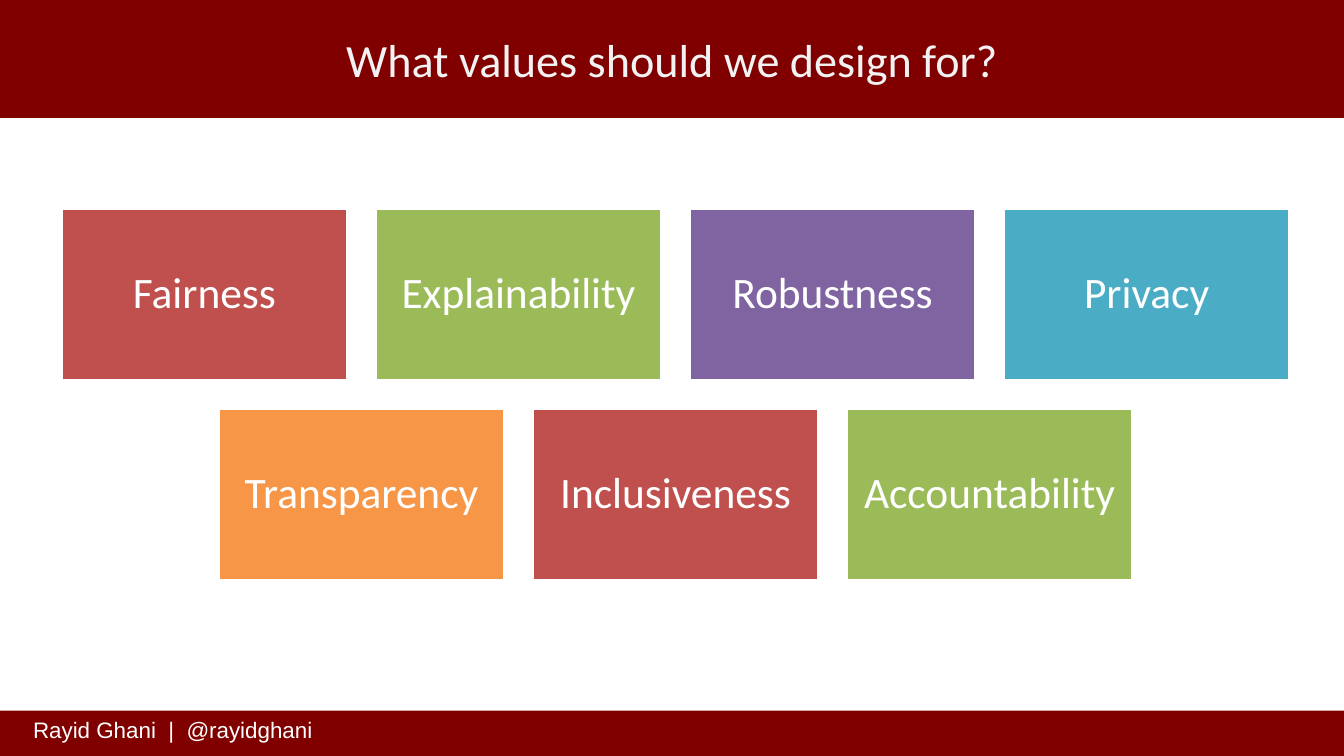
from pptx import Presentation
from pptx.dml.color import RGBColor
from pptx.enum.shapes import MSO_SHAPE
from pptx.enum.text import MSO_ANCHOR, PP_ALIGN
from pptx.util import Inches, Pt

MAROON = RGBColor(0x80, 0x00, 0x00)
WHITE = RGBColor(0xFF, 0xFF, 0xFF)
PALE_GREY = RGBColor(0xF2, 0xF2, 0xF2)
RED = RGBColor(0xC0, 0x50, 0x4D)
GREEN = RGBColor(0x9B, 0xBB, 0x59)
PURPLE = RGBColor(0x80, 0x64, 0xA2)
TEAL = RGBColor(0x4B, 0xAC, 0xC6)
ORANGE = RGBColor(0xF7, 0x96, 0x46)

SLIDE_WIDTH, SLIDE_HEIGHT = 13.33, 7.5
TITLE_HEIGHT, FOOTER_HEIGHT = 1.17, 0.45

# Tile grid: each row is centred on the same axis
TILE_WIDTH, TILE_HEIGHT, GAP = 2.83, 1.7, 0.285
GRID_CENTRE, GRID_TOP = 6.7, 2.07
VALUE_ROWS = [
    [("Fairness", RED), ("Explainability", GREEN), ("Robustness", PURPLE), ("Privacy", TEAL)],
    [("Transparency", ORANGE), ("Inclusiveness", RED), ("Accountability", GREEN)],
]

deck = Presentation()
deck.slide_width, deck.slide_height = Inches(SLIDE_WIDTH), Inches(SLIDE_HEIGHT)
page = deck.slides.add_slide(deck.slide_layouts[6])


def add_block(left, top, width, height, color):
    box = page.shapes.add_shape(
        MSO_SHAPE.RECTANGLE, Inches(left), Inches(top), Inches(width), Inches(height))
    box.shadow.inherit = False
    box.fill.solid()
    box.fill.fore_color.rgb = color
    box.line.fill.background()
    return box


def write(box, text, size, color, font="Calibri", align=PP_ALIGN.CENTER):
    para = box.text_frame.paragraphs[0]
    para.alignment = align
    span = para.add_run()
    span.text = text
    span.font.name = font
    span.font.size = Pt(size)
    span.font.color.rgb = color
    return para


# Footer band with the author
add_block(0, SLIDE_HEIGHT - FOOTER_HEIGHT, SLIDE_WIDTH, FOOTER_HEIGHT, MAROON)
author = page.shapes.add_textbox(Inches(0.23), Inches(7.06), Inches(3.04), Inches(0.37))
author.text_frame.word_wrap = True
write(author, "Rayid Ghani  |  @rayidghani", 16, WHITE, "Arial", PP_ALIGN.LEFT)

# Title band
title = add_block(0, 0, SLIDE_WIDTH, TITLE_HEIGHT, MAROON)
title.text_frame.vertical_anchor = MSO_ANCHOR.MIDDLE
write(title, "What values should we design for?", 33, PALE_GREY)

# Value tiles
for row, values in enumerate(VALUE_ROWS):
    row_width = len(values) * (TILE_WIDTH + GAP) - GAP
    row_left = GRID_CENTRE - row_width / 2
    top = GRID_TOP + row * (TILE_HEIGHT + GAP)
    for column, (value, color) in enumerate(values):
        left = row_left + column * (TILE_WIDTH + GAP)
        tile = add_block(left, top, TILE_WIDTH, TILE_HEIGHT, color)
        tile.line.color.rgb = WHITE
        tile.line.width = Pt(2)
        frame = tile.text_frame
        frame.word_wrap = True
        frame.vertical_anchor = MSO_ANCHOR.MIDDLE
        frame.margin_left = frame.margin_right = Inches(0.13)
        frame.margin_top = frame.margin_bottom = Inches(0.13)
        write(tile, value, 31, WHITE).line_spacing = 0.9

deck.save("out.pptx")
